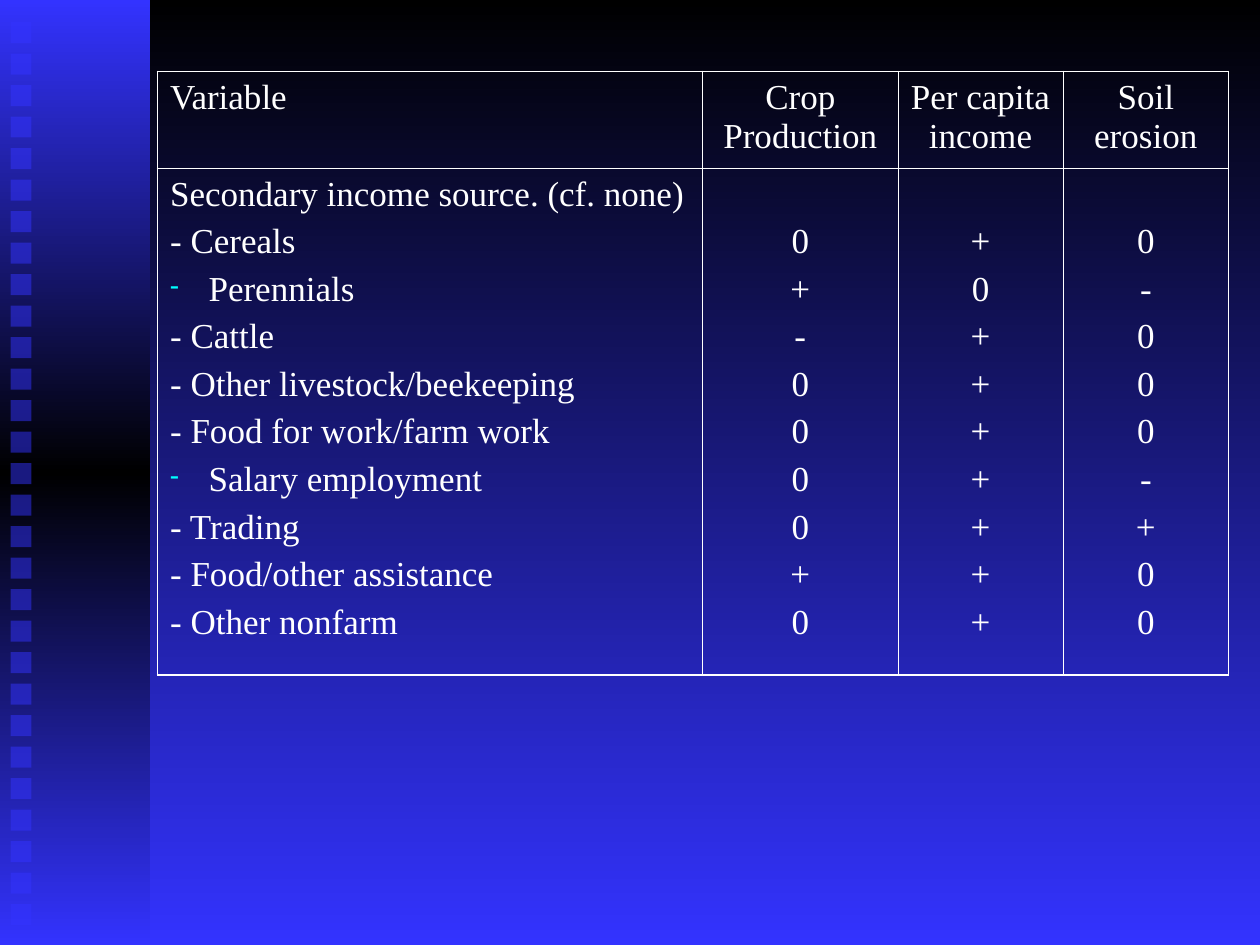
from copy import deepcopy
from dataclasses import dataclass

from lxml.etree import SubElement
from pptx import Presentation
from pptx.dml.color import RGBColor
from pptx.dml.fill import FillFormat
from pptx.enum.shapes import MSO_SHAPE
from pptx.enum.text import PP_ALIGN
from pptx.oxml.ns import qn
from pptx.shapes.autoshape import Shape
from pptx.slide import Slide
from pptx.table import _Cell
from pptx.util import Pt

COLORS = {"blue": "3333FF", "black": "000000", "white": "FFFFFF", "cyan": "00FFFF"}
FONT = "Times New Roman"
TEXT_SIZE = 20
PARAGRAPH_GAP = 5
LINE_PITCH = 27.2
CELL_MARGIN = 3.6
BULLET_INDENT = 22
OUTER_LINE = 1.08
INNER_LINE = 0.45
ROW_HEIGHTS = [55.4, 289.4]
SQUARE_COUNT = 29
SQUARE_PITCH = 18


@dataclass
class Column:
    heading: str
    width: float
    entries: list[str]
    align: PP_ALIGN = PP_ALIGN.CENTER
    skipped_lines: int = 0


COLUMNS = [
    Column("Variable", 311.6, [
        "Secondary income source. (cf. none)",
        "- Cereals",
        "Perennials",
        "- Cattle",
        "- Other livestock/beekeeping",
        "- Food for work/farm work",
        "Salary employment",
        "- Trading",
        "- Food/other assistance",
        "- Other nonfarm",
    ], PP_ALIGN.LEFT),
    Column("Crop Production", 111.5, list("0+-0000+0"), skipped_lines=1),
    Column("Per capita income", 94.5, list("+0+++++++"), skipped_lines=1),
    Column("Soil erosion", 94.4, list("0-000-+00"), skipped_lines=1),
]
BULLETED = {"Perennials", "Salary employment"}


def color(name: str) -> RGBColor:
    return RGBColor.from_string(COLORS[name])


def fill_downward(fill: FillFormat, first: str, last: str) -> None:
    fill.gradient()
    fill.gradient_angle = 270
    for stop, name in zip(fill.gradient_stops, (first, last)):
        stop.color.rgb = color(name)


def add_block(slide: Slide, left: float, top: float, width: float, height: float) -> Shape:
    block = slide.shapes.add_shape(
        MSO_SHAPE.RECTANGLE, Pt(left), Pt(top), Pt(width), Pt(height))
    block.shadow.inherit = False
    block.line.fill.background()
    return block


def add_side_band(slide: Slide) -> None:
    band = add_block(slide, 0, 0, 85.7, 540)
    fill_downward(band.fill, "blue", "black")
    stops = band.element.xpath(".//a:gsLst")[0]
    closing_stop = deepcopy(stops[0])
    closing_stop.set("pos", "100000")
    stops[1].set("pos", "50000")
    stops.append(closing_stop)

    for index in range(SQUARE_COUNT):
        square = add_block(slide, 6, 12.6 + index * SQUARE_PITCH, 12, 12)
        square.fill.solid()
        square.fill.fore_color.rgb = color("blue")
        shade = square.element.xpath("./p:spPr/a:solidFill/a:srgbClr")[0]
        SubElement(shade, qn("a:alpha"), val="50000")


def set_borders(cell: _Cell, row: int, column: int) -> None:
    outer_sides = {
        "a:lnL": column == 0,
        "a:lnR": column == len(COLUMNS) - 1,
        "a:lnT": row == 0,
        "a:lnB": row == len(ROW_HEIGHTS) - 1,
    }
    properties = cell._tc.get_or_add_tcPr()
    for tag, is_outer in outer_sides.items():
        width = Pt(OUTER_LINE if is_outer else INNER_LINE)
        line = SubElement(properties, qn(tag), w=str(width))
        paint = SubElement(line, qn("a:solidFill"))
        SubElement(paint, qn("a:srgbClr"), val=COLORS["white"])


def fill_cell(cell: _Cell, lines: list[str], align: PP_ALIGN, skipped_lines: int = 0) -> None:
    cell.fill.background()
    cell.margin_top = Pt(CELL_MARGIN + skipped_lines * LINE_PITCH)
    cell.text_frame.text = "\n".join(lines)
    for index, para in enumerate(cell.text_frame.paragraphs):
        para.alignment = align
        if index:
            para.space_before = Pt(PARAGRAPH_GAP)
        if para.text in BULLETED:
            properties = para._p.get_or_add_pPr()
            properties.set("marL", str(Pt(BULLET_INDENT)))
            properties.set("indent", str(-Pt(BULLET_INDENT)))
            bullet_color = SubElement(properties, qn("a:buClr"))
            SubElement(bullet_color, qn("a:srgbClr"), val=COLORS["cyan"])
            SubElement(properties, qn("a:buSzPct"), val="75000")
            SubElement(properties, qn("a:buChar"), char="-")
        for span in para.runs:
            span.font.name = FONT
            span.font.size = Pt(TEXT_SIZE)
            span.font.bold = False
            span.font.color.rgb = color("white")


def add_effects_table(slide: Slide) -> None:
    total_width = sum(column.width for column in COLUMNS)
    frame = slide.shapes.add_table(
        len(ROW_HEIGHTS), len(COLUMNS),
        Pt(90), Pt(40.9), Pt(total_width), Pt(sum(ROW_HEIGHTS)))
    table = frame.table
    table.first_row = False
    table.horz_banding = False
    for row, height in zip(table.rows, ROW_HEIGHTS):
        row.height = Pt(height)
    for index, column in enumerate(COLUMNS):
        table.columns[index].width = Pt(column.width)
        for row in range(len(ROW_HEIGHTS)):
            set_borders(table.cell(row, index), row, index)
        fill_cell(table.cell(0, index), [column.heading], column.align)
        fill_cell(table.cell(1, index), column.entries, column.align, column.skipped_lines)


def main() -> None:
    deck = Presentation()
    deck.slide_width = Pt(720)
    deck.slide_height = Pt(540)
    page = deck.slides.add_slide(deck.slide_layouts[6])
    fill_downward(page.background.fill, "black", "blue")
    add_side_band(page)
    add_effects_table(page)
    deck.save("out.pptx")


if __name__ == "__main__":
    main()
